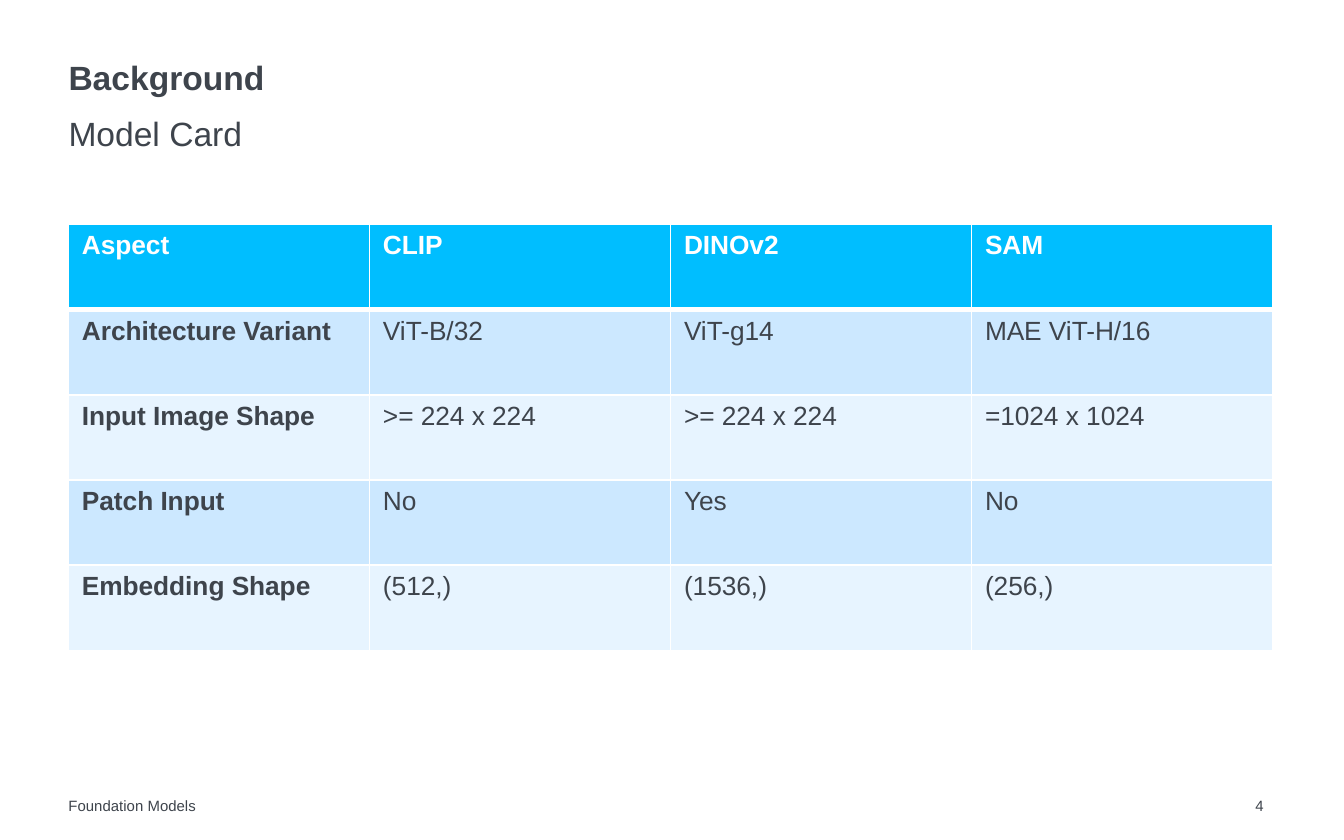
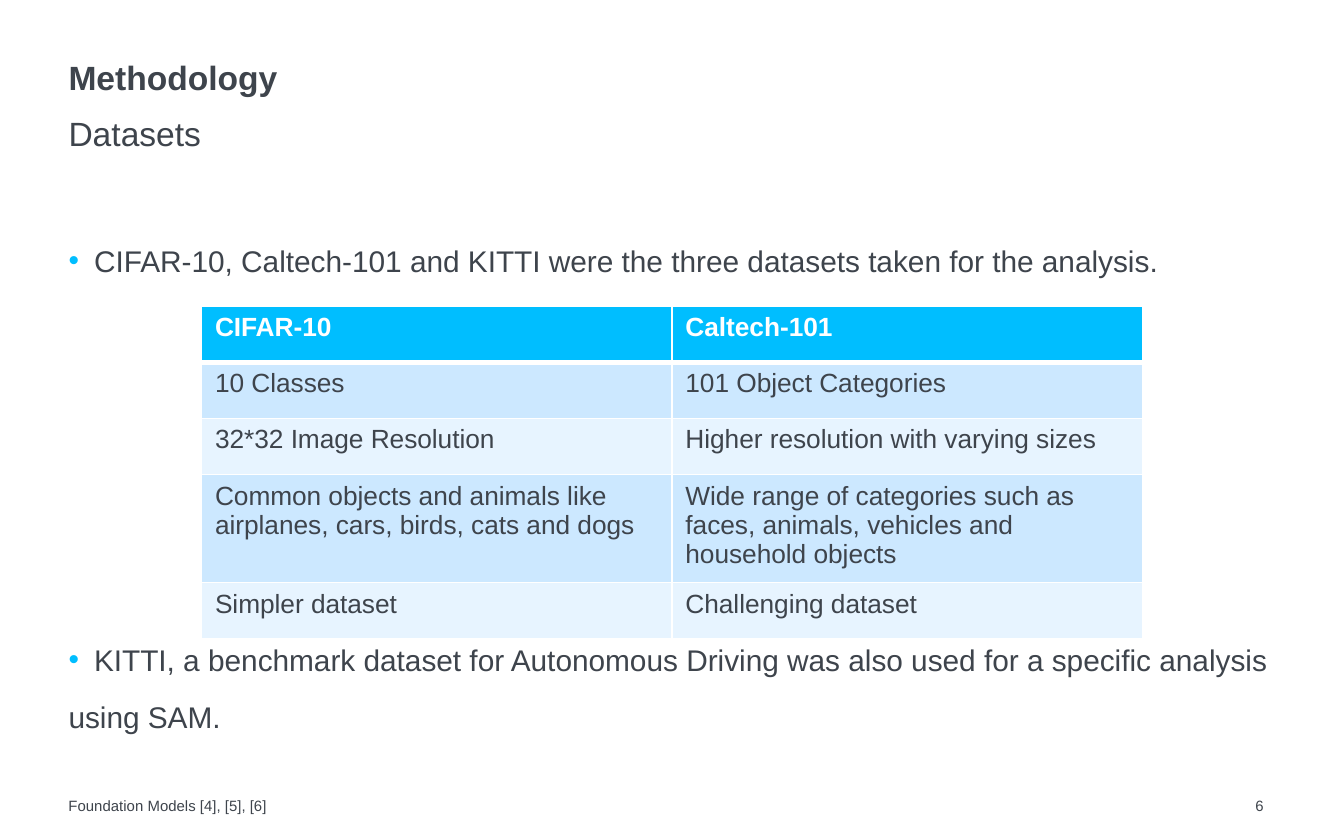
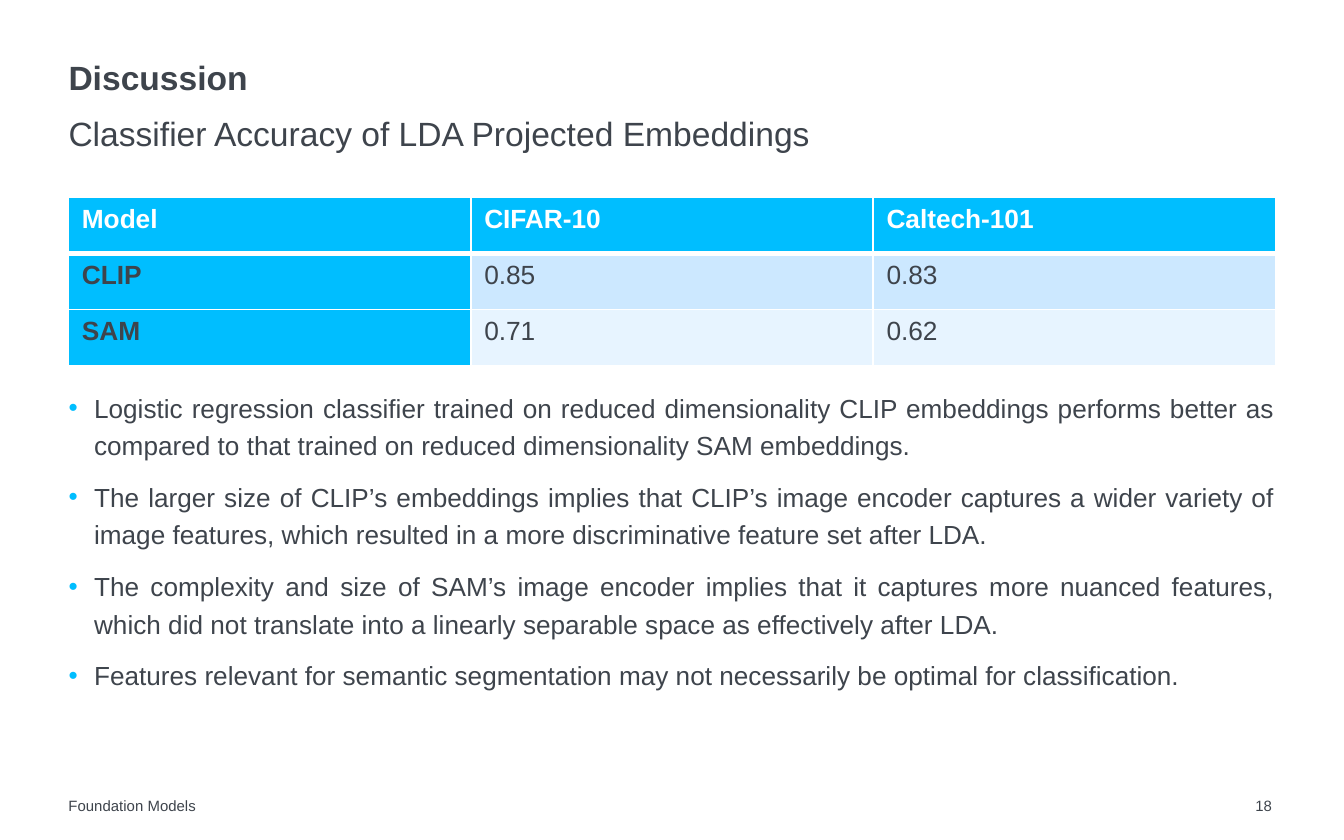
from lxml.etree import SubElement
from pptx import Presentation
from pptx.dml.color import RGBColor
from pptx.enum.text import MSO_ANCHOR, PP_ALIGN
from pptx.oxml.ns import qn
from pptx.util import Inches, Pt

FONT = "Arial"
INK, ACCENT, WHITE = "3E444C", "00BEFF", "FFFFFF"
BANDS = ("CCE8FF", "E7F4FF")
UNIT = Inches(0.1)
MARGIN, CONTENT = 5.1, 89.8
INDENT = 1.9


def color(hex_code):
    """Turn a hex string into a colour."""
    return RGBColor.from_string(hex_code)


def grid(*counts):
    """Turn counts of grid units, 100 across and 62.5 down, into lengths."""
    return [round(count * UNIT) for count in counts]


class Deck:
    """Hold the shared style and the current slide."""

    def __init__(self):
        """Start an empty deck of the right size."""
        self.presentation = Presentation()
        size = grid(100, 62.5)
        self.presentation.slide_width, self.presentation.slide_height = size
        self.slide = None

    def add_slide(self, topic, subtopic, number, footer="Foundation Models"):
        """Add a slide with its headings and footer."""
        self.slide = self.presentation.slides.add_slide(self.presentation.slide_layouts[6])
        title = self.frame(MARGIN, 4.3, CONTENT, 3)
        title.vertical_anchor = MSO_ANCHOR.BOTTOM
        title.paragraphs[0].line_spacing = 0.9
        self.run(title.paragraphs[0], topic, 18, bold=True)
        subtitle = self.frame(MARGIN, 7.8, CONTENT, 3).paragraphs[0]
        subtitle.line_spacing = 1.2
        self.run(subtitle, subtopic, 18)
        for left, width, label in ((93.4, 2.4, str(number)), (MARGIN, 66.3, footer)):
            self.run(self.frame(left, 59.3, width, 1.4).paragraphs[0], label, 8)

    def frame(self, left, top, width, height):
        """Add a wrapping text box without insets and return its frame."""
        frame = self.slide.shapes.add_textbox(*grid(left, top, width, height)).text_frame
        frame.word_wrap = True
        frame.margin_left = frame.margin_right = frame.margin_top = frame.margin_bottom = 0
        return frame

    def run(self, paragraph, words, size, ink=INK, bold=False):
        """Add one styled run to a paragraph."""
        run = paragraph.add_run()
        run.text = words
        run.font.name, run.font.size, run.font.bold = FONT, Pt(size), bold
        run.font.color.rgb = color(ink)

    def bullets(self, top, height, points, size, align=None, closing=None):
        """Add bulleted points, with an optional unbulleted closing line."""
        frame = self.frame(MARGIN, top, CONTENT, height)
        lines = [(point, True) for point in points]
        if closing:
            lines.append((closing, False))
        for index, (words, marked) in enumerate(lines):
            paragraph = frame.add_paragraph() if index else frame.paragraphs[0]
            if marked:
                self.mark(paragraph)
            paragraph.line_spacing = 1.2
            if index:
                paragraph.space_before = Pt(7.5)
            paragraph.alignment = align
            self.run(paragraph, words, size)

    def mark(self, paragraph):
        """Give a paragraph a hanging accent bullet."""
        properties = paragraph._p.get_or_add_pPr()
        indent, = grid(INDENT)
        properties.set("marL", str(indent))
        properties.set("indent", str(-indent))
        SubElement(SubElement(properties, qn("a:buClr")), qn("a:srgbClr"), val=ACCENT)
        SubElement(properties, qn("a:buFont"), typeface=FONT)
        SubElement(properties, qn("a:buChar"), char="•")

    def table(self, left, top, width, row_height, rows, row_heads=False, head_fill=None):
        """Add a banded table with an accent header row."""
        height = row_height * len(rows)
        table = self.slide.shapes.add_table(
            len(rows), len(rows[0]), *grid(left, top, width, height)).table
        table.horz_banding = False
        for row, entries in enumerate(rows):
            table.rows[row].height, = grid(row_height)
            for column, words in enumerate(entries):
                cell = table.cell(row, column)
                is_head = row_heads and column == 0
                fill = BANDS[(row - 1) % 2] if row else ACCENT
                if row and is_head and head_fill:
                    fill = head_fill
                cell.fill.solid()
                cell.fill.fore_color.rgb = color(fill)
                self.borders(cell, row)
                self.run(cell.text_frame.paragraphs[0], words, 14.1,
                         INK if row else WHITE, bold=row == 0 or is_head)

    def borders(self, cell, row):
        """Draw white cell borders, heavier below the header row."""
        properties = cell._tc.get_or_add_tcPr()
        weights = {"lnL": 1, "lnR": 1, "lnT": 3 if row == 1 else 1, "lnB": 1 if row else 3}
        for position, (side, weight) in enumerate(weights.items()):
            line = SubElement(properties, qn(f"a:{side}"), w=str(Pt(weight)))
            SubElement(SubElement(line, qn("a:solidFill")), qn("a:srgbClr"), val=WHITE)
            properties.insert(position, line)


def main():
    """Build the three slides and save them."""
    deck = Deck()

    deck.add_slide("Background", "Model Card", 4)
    deck.table(MARGIN, 16.7, 89.6, 6.34, [
        ("Aspect", "CLIP", "DINOv2", "SAM"),
        ("Architecture Variant", "ViT-B/32", "ViT-g14", "MAE ViT-H/16"),
        ("Input Image Shape", ">= 224 x 224", ">= 224 x 224", "=1024 x 1024"),
        ("Patch Input", "No", "Yes", "No"),
        ("Embedding Shape", "(512,)", "(1536,)", "(256,)"),
    ], row_heads=True)

    deck.add_slide("Methodology", "Datasets", 6, "Foundation Models [4], [5], [6]")
    deck.bullets(17.5, 4, [
        "CIFAR-10, Caltech-101 and KITTI were the three datasets taken for the analysis.",
    ], 16)
    deck.bullets(47.2, 8.5, [
        "KITTI, a benchmark dataset for Autonomous Driving was also used for a specific analysis",
    ], 16, closing="using SAM.")
    deck.table(15, 22.8, 70, 4.17, [
        ("CIFAR-10", "Caltech-101"),
        ("10 Classes", "101 Object Categories"),
        ("32*32 Image Resolution", "Higher resolution with varying sizes"),
        ("Common objects and animals like airplanes, cars, birds, cats and dogs",
         "Wide range of categories such as faces, animals, vehicles and household objects"),
        ("Simpler dataset", "Challenging dataset"),
    ])

    deck.add_slide("Discussion", "Classifier Accuracy of LDA Projected Embeddings", 18)
    deck.table(MARGIN, 14.7, CONTENT, 4.17, [
        ("Model", "CIFAR-10", "Caltech-101"),
        ("CLIP", "0.85", "0.83"),
        ("SAM", "0.71", "0.62"),
    ], row_heads=True, head_fill=ACCENT)
    deck.bullets(28.7, 27, [
        "Logistic regression classifier trained on reduced dimensionality CLIP embeddings "
        "performs better as compared to that trained on reduced dimensionality SAM embeddings.",
        "The larger size of CLIP’s embeddings implies that CLIP’s image encoder captures a wider "
        "variety of image features, which resulted in a more discriminative feature set after LDA.",
        "The complexity and size of SAM’s image encoder implies that it captures more nuanced "
        "features, which did not translate into a linearly separable space as effectively after LDA.",
        "Features relevant for semantic segmentation may not necessarily be optimal for "
        "classification.",
    ], 14, PP_ALIGN.JUSTIFY)

    deck.presentation.save("out.pptx")


if __name__ == "__main__":
    main()
